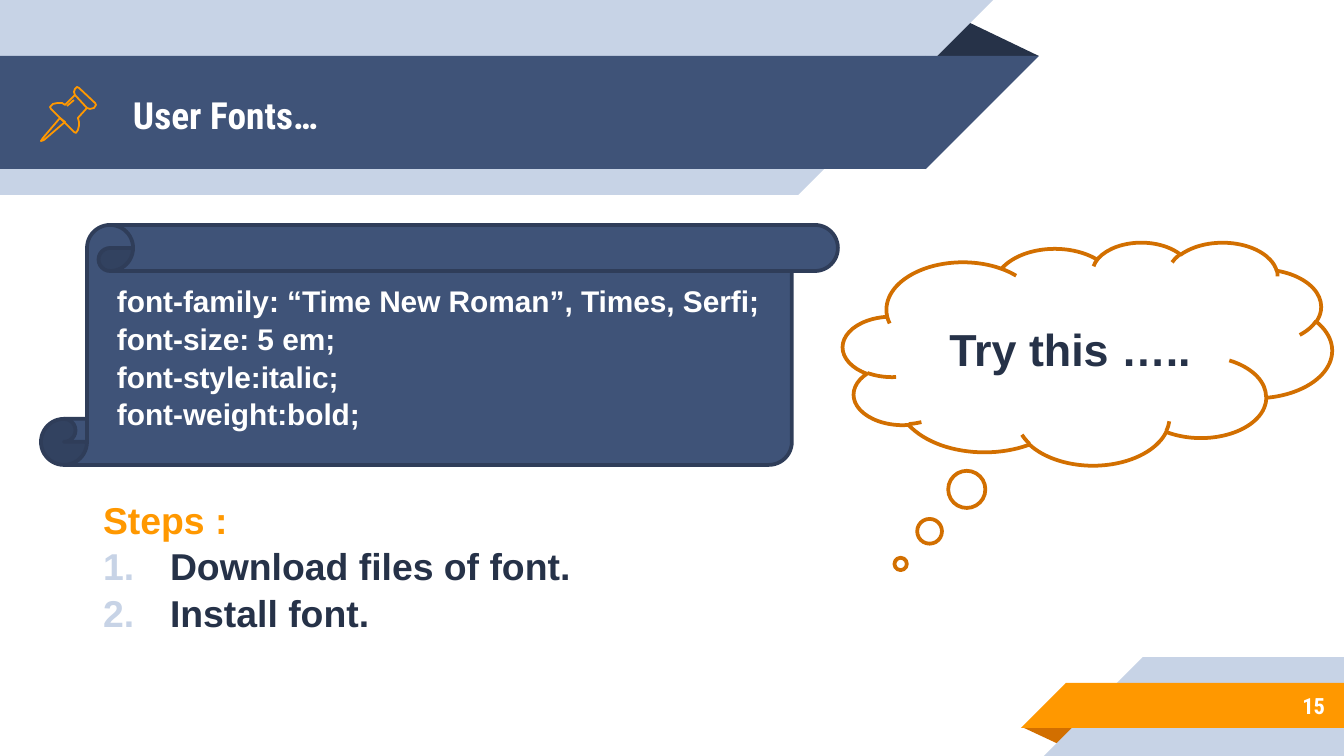
import lxml.etree
import pptx
import pptx.dml.color
import pptx.enum.shapes
import pptx.enum.text
import pptx.oxml.ns
import pptx.util

EMU_PER_PX = 914400 / 134.4
SHAPE = pptx.enum.shapes.MSO_SHAPE
ALIGN = pptx.enum.text.PP_ALIGN

NAVY = "3F5378"
DARK = "263248"
PALE = "C7D3E6"
ORANGE = "FF9800"
RUST = "D26F00"
WHITE = "FFFFFF"
SCROLL_EDGE = "2F3D59"


def px(length):
    return pptx.util.Emu(round(length * EMU_PER_PX))


def color(value):
    return pptx.dml.color.RGBColor.from_string(value)


class SlideBuilder:
    heading_font = "Roboto Condensed"
    body_font = "Arial"
    inset = 13

    def __init__(self, slide):
        self.slide = slide

    def paint(self, shape, fill=None, line=None, width=2):
        shape.shadow.inherit = False
        if fill:
            shape.fill.solid()
            shape.fill.fore_color.rgb = color(fill)
        else:
            shape.fill.background()
        if line:
            shape.line.color.rgb = color(line)
            shape.line.width = pptx.util.Pt(width)
        else:
            shape.line.fill.background()

    def preset(self, kind, box, fill, line=None, adjustments=(), rotation=0, flip=False):
        shape = self.slide.shapes.add_shape(kind, *map(px, box))
        self.paint(shape, fill, line)
        for index, value in enumerate(adjustments):
            shape.adjustments[index] = value
        shape.rotation = rotation
        if flip:
            shape._element.spPr.xfrm.set("flipH", "1")
        return shape

    def outline(self, points, close):
        builder = self.slide.shapes.build_freeform(*points[0], scale=EMU_PER_PX)
        builder.add_line_segments(points[1:], close=close)
        self.paint(builder.convert_to_shape(), line=ORANGE, width=0.96)

    def number(self, paragraph, left, hanging):
        properties = paragraph._p.get_or_add_pPr()
        properties.set("marL", str(px(left)))
        properties.set("indent", str(-px(hanging)))
        if hanging:
            qualified = pptx.oxml.ns.qn
            bullet_color = lxml.etree.SubElement(properties, qualified("a:buClr"))
            lxml.etree.SubElement(bullet_color, qualified("a:srgbClr"), val=PALE)
            lxml.etree.SubElement(properties, qualified("a:buAutoNum"), type="arabicPeriod")

    def fill_text(self, shape, lines, size, font, align=ALIGN.LEFT, left=inset, spacing=None):
        frame = shape.text_frame
        frame.word_wrap = True
        frame.vertical_anchor = pptx.enum.text.MSO_ANCHOR.MIDDLE
        frame.margin_left = px(left)
        frame.margin_right = frame.margin_top = frame.margin_bottom = px(self.inset)
        for index, (text, text_color, *indent) in enumerate(lines):
            paragraph = frame.add_paragraph() if index else frame.paragraphs[0]
            if indent:
                self.number(paragraph, *indent)
            paragraph.text = text
            paragraph.alignment = align
            if spacing:
                paragraph.line_spacing = spacing
            paragraph.font.name = font
            paragraph.font.size = pptx.util.Pt(size)
            paragraph.font.bold = True
            paragraph.font.color.rgb = color(text_color)

    def text(self, box, lines, size, font, **options):
        shape = self.slide.shapes.add_textbox(*map(px, box))
        self.fill_text(shape, lines, size, font, **options)

    def top_band(self, top, width, height, fill):
        self.preset(SHAPE.RECTANGLE, (0, top, width, height), fill)
        self.preset(SHAPE.RIGHT_TRIANGLE, (width, top, height, height), fill,
                    rotation=180, flip=True)

    def bottom_band(self, left, top, height, fill):
        self.preset(SHAPE.RECTANGLE, (left, top, 1344 - left, height), fill)
        self.preset(SHAPE.RIGHT_TRIANGLE, (left - height, top, height, height), fill, flip=True)

    def fold(self, box, fill, rotation=0):
        self.preset(SHAPE.ISOSCELES_TRIANGLE, box, fill, adjustments=[0.324], rotation=rotation)

    def pin(self):
        needle = [(60, 118), (43, 138), (41, 141), (44, 140), (65, 122)]
        head = [(75, 95), (87, 108), (90, 109), (94, 108), (96, 105), (95, 103),
                (79, 88), (77, 87), (75, 89), (74, 92)]
        body = [(75, 95), (65, 105), (62, 103), (58, 103), (53, 104), (50, 107),
                (51, 109), (74, 132), (76, 133), (78, 130), (79, 126), (79, 122),
                (78, 118), (87, 108)]
        glint = [(67, 106), (74, 100)]
        for points, close in ((needle, True), (head, True), (body, False), (glint, False)):
            self.outline(points, close)


def main():
    presentation = pptx.Presentation()
    presentation.slide_width = px(1344)
    presentation.slide_height = px(756)
    builder = SlideBuilder(presentation.slides.add_slide(presentation.slide_layouts[6]))

    builder.fold((1022, 727, 57, 18), RUST, rotation=180)
    builder.bottom_band(1143, 657, 99, PALE)
    builder.bottom_band(1066, 683, 45, ORANGE)
    builder.fold((925, 19, 114, 37), DARK)
    builder.top_band(0, 798, 195, PALE)
    builder.top_band(56, 926, 113, NAVY)

    builder.text((120, 58, 808, 113), [("User Fonts…", WHITE)], 20, builder.heading_font)
    builder.text((1120, 682, 218, 47), [("15", WHITE)], 12, builder.heading_font,
                 align=ALIGN.RIGHT)
    builder.pin()

    scroll = builder.preset(SHAPE.VERTICAL_SCROLL, (41, 225, 797, 240), NAVY, SCROLL_EDGE,
                            adjustments=[0.192])
    declarations = ["font-family: “Time New Roman”, Times, Serfi;", "font-size: 5 em;",
                    "font-style:italic;", "font-weight:bold;"]
    builder.fill_text(scroll, [(line, WHITE) for line in declarations], 16, builder.body_font,
                      left=30, spacing=1.05)

    cloud = builder.preset(SHAPE.CLOUD_CALLOUT, (843, 242, 489, 223), WHITE, RUST,
                           adjustments=[-0.382, 0.944])
    builder.fill_text(cloud, [("Try this …..", DARK)], 24, builder.body_font,
                      align=ALIGN.CENTER)

    steps = [("Steps :", ORANGE, 78, 0), ("Download files of font.", DARK, 145, 67),
             ("Install font.", DARK, 145, 67)]
    builder.text((12, 425, 1332, 280), steps, 20, builder.body_font, spacing=1.04)

    presentation.save("out.pptx")


if __name__ == "__main__":
    main()
